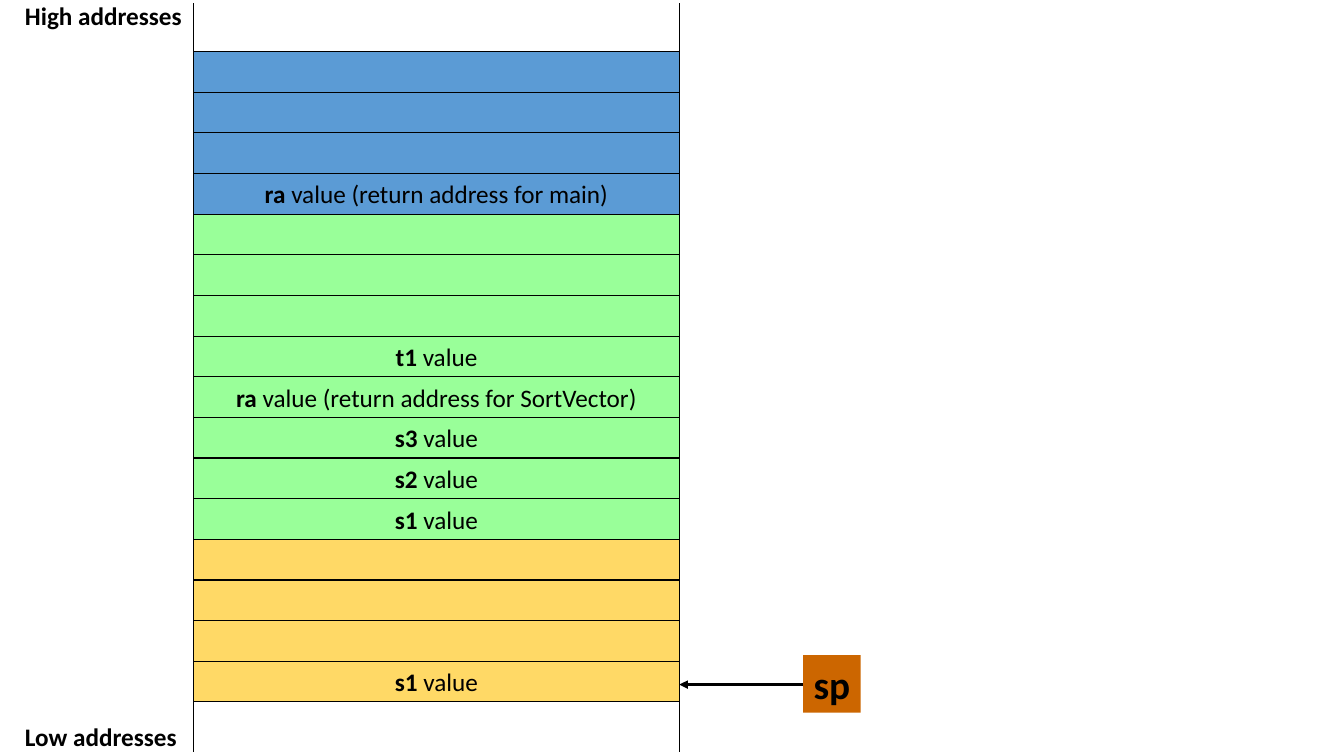
"""Draw a call stack with its frames, address labels and stack pointer."""
from dataclasses import dataclass

from lxml import etree
from pptx import Presentation
from pptx import util as u
from pptx.dml.color import RGBColor
from pptx.enum import shapes, text
from pptx.oxml import ns

COLORS = {"black": "000000", "main": "5B9BD5", "sort": "99FF99",
          "swap": "FFD966", "pointer": "CC6600"}
LEFT, TOP, WIDTH = 4.88, 1.3, 12.24
RIGHT = LEFT + WIDTH
STACK_HEIGHT = 16.39
SIDE_TOP, SIDE_BOTTOM = 0.08, 18.94
POINTER_LEFT, POINTER_SIZE, POINTER_Y = 20.24, 1.45, 17.25


@dataclass
class Slot:
    """One word of the stack: its frame and the register saved there."""
    frame: str
    register: str = ""
    detail: str = "value"


@dataclass
class Label:
    """An address label beside the stack."""
    caption: str
    top: float
    width: float


@dataclass
class Line:
    """A straight line, with an arrowhead at its end if wanted."""
    x1: float
    y1: float
    x2: float
    y2: float
    weight: float = 0.5
    arrow: bool = False


SLOTS = [
    *[Slot("main")] * 3,
    Slot("main", "ra", "value (return address for main)"),
    *[Slot("sort")] * 3,
    Slot("sort", "t1"),
    Slot("sort", "ra", "value (return address for SortVector)"),
    Slot("sort", "s3"),
    Slot("sort", "s2"),
    Slot("sort", "s1"),
    *[Slot("swap")] * 3,
    Slot("swap", "s1"),
]
LABELS = [Label("High addresses", -0.13, 4.5), Label("Low addresses", 18.06, 4.37)]
LINES = [
    Line(LEFT, SIDE_BOTTOM, LEFT, SIDE_TOP),
    Line(RIGHT, SIDE_BOTTOM, RIGHT, SIDE_TOP),
    Line(POINTER_LEFT, POINTER_Y, RIGHT, POINTER_Y, 2, True),
]


def color(name: str) -> RGBColor:
    """Look up a colour by name."""
    return RGBColor.from_string(COLORS[name])


def write(sp, bold: str, plain: str = "", size: float = 18,
          align=text.PP_ALIGN.CENTER, wrap: bool = True) -> None:
    """Write a bold run, then a plain one, in a shape."""
    tf = sp.text_frame
    tf.word_wrap = wrap
    tf.vertical_anchor = text.MSO_ANCHOR.MIDDLE
    p = tf.paragraphs[0]
    p.alignment = align
    for words, is_bold in ((bold, True), (plain, False)):
        if words:
            r = p.add_run()
            r.text = words
            r.font.name, r.font.size, r.font.bold = "Calibri", u.Pt(size), is_bold
            r.font.color.rgb = color("black")


def add_box(s, x: float, y: float, w: float, h: float, fill: str, border: float = 0.75):
    """Add a filled rectangle with a black border."""
    sp = s.shapes.add_shape(shapes.MSO_SHAPE.RECTANGLE, u.Cm(x), u.Cm(y), u.Cm(w), u.Cm(h))
    sp.shadow.inherit = False
    sp.fill.solid()
    sp.fill.fore_color.rgb = color(fill)
    if border:
        sp.line.color.rgb = color("black")
        sp.line.width = u.Pt(border)
    else:
        sp.line.fill.background()
    return sp


def add_slots(s, slots: list[Slot]) -> None:
    """Stack the slots downwards at equal heights."""
    height = STACK_HEIGHT / len(slots)
    for i, slot in enumerate(slots):
        sp = add_box(s, LEFT, TOP + i * height, WIDTH, height, slot.frame)
        if slot.register:
            write(sp, slot.register + " ", slot.detail)


def add_line(s, line: Line) -> None:
    """Add a black line."""
    cxn = s.shapes.add_connector(shapes.MSO_CONNECTOR.STRAIGHT, u.Cm(line.x1),
                                 u.Cm(line.y1), u.Cm(line.x2), u.Cm(line.y2))
    cxn.line.color.rgb = color("black")
    cxn.line.width = u.Pt(line.weight)
    if line.arrow:
        etree.SubElement(cxn.line._get_or_add_ln(), ns.qn("a:tailEnd"), type="triangle")
    etree.SubElement(cxn._element.spPr, ns.qn("a:effectLst"))


def add_label(s, label: Label) -> None:
    """Add an address label left of the stack."""
    sp = s.shapes.add_textbox(u.Cm(0.38), u.Cm(label.top), u.Cm(label.width), u.Cm(1.02))
    write(sp, label.caption, align=text.PP_ALIGN.LEFT, wrap=False)


def main() -> None:
    """Build and save the slide."""
    prs = Presentation()
    prs.slide_width, prs.slide_height = u.Cm(33.87), u.Cm(19.05)
    s = prs.slides.add_slide(prs.slide_layouts[6])
    add_slots(s, SLOTS)
    sp = add_box(s, POINTER_LEFT, 16.51, POINTER_SIZE, POINTER_SIZE, "pointer", border=0)
    write(sp, "sp", size=28, wrap=False)
    for line in LINES:
        add_line(s, line)
    for label in LABELS:
        add_label(s, label)
    prs.save("out.pptx")


if __name__ == "__main__":
    main()
